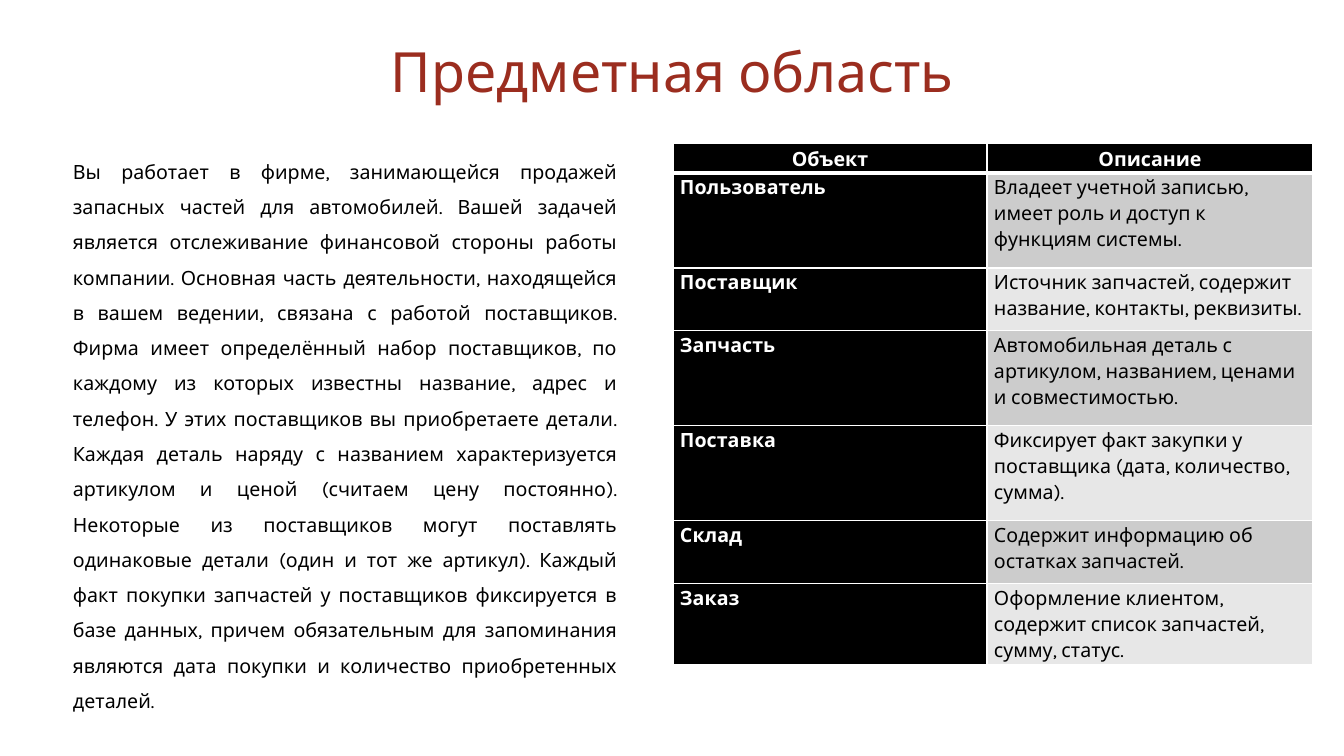
from lxml.etree import SubElement
from pptx import Presentation
from pptx.dml.color import RGBColor
from pptx.enum.text import MSO_ANCHOR as Anchor, MSO_AUTO_SIZE as AutoSize, PP_ALIGN as Align
from pptx.oxml.ns import qn
from pptx.util import Pt

TITLE = "Предметная область"
STORY = (
    "Вы работает в фирме, занимающейся продажей запасных частей для автомобилей. "
    "Вашей задачей является отслеживание финансовой стороны работы компании. "
    "Основная часть деятельности, находящейся в вашем ведении, связана с работой поставщиков. "
    "Фирма имеет определённый набор поставщиков, по каждому из которых известны название, "
    "адрес и телефон. У этих поставщиков вы приобретаете детали. "
    "Каждая деталь наряду с названием характеризуется артикулом и ценой (считаем цену постоянно). "
    "Некоторые из поставщиков могут поставлять одинаковые детали (один и тот же артикул). "
    "Каждый факт покупки запчастей у поставщиков фиксируется в базе данных, причем обязательным "
    "для запоминания являются дата покупки и количество приобретенных деталей."
)
OBJECTS = [
    ("Объект", "Описание"),
    ("Пользователь", "Владеет учетной записью, имеет роль и доступ к функциям системы."),
    ("Поставщик", "Источник запчастей, содержит название, контакты, реквизиты."),
    ("Запчасть", "Автомобильная деталь с артикулом, названием, ценами и совместимостью."),
    ("Поставка", "Фиксирует факт закупки у поставщика (дата, количество, сумма)."),
    ("Склад", "Содержит информацию об остатках запчастей."),
    ("Заказ", "Оформление клиентом, содержит список запчастей, сумму, статус."),
]
COLORS = {"title": "9B2D1F", "black": "000000", "white": "FFFFFF",
          "odd": "CCCCCC", "even": "E7E7E7"}
FONT = "Karla"
SLIDE = (1344, 756)
TITLE_BOX = (93, 40, 1159, 70)
STORY_BOX = (63, 143, 564, 505)
TABLE_AT = (673, 143)
COLUMNS = (314, 326)
ROWS = (30, 95, 63, 95, 95, 63, 63)
CELL_INSET = 7
THIN, THICK = 1, 3


def px(length):
    return round(length * 914400 / 100.8)


def write(frame, text, size, color, bold=False, **paragraph_format):
    para = frame.paragraphs[0]
    for name, value in paragraph_format.items():
        setattr(para, name, value)
    span = para.add_run()
    span.text = text
    for name, value in {"name": FONT, "size": Pt(size), "bold": bold}.items():
        setattr(span.font, name, value)
    span.font.color.rgb = RGBColor.from_string(COLORS[color])


def add_text(page, box, anchor, auto_size, *content, **paragraph_format):
    frame = page.shapes.add_textbox(*map(px, box)).text_frame
    for name, value in {"word_wrap": True, "auto_size": auto_size,
                        "vertical_anchor": anchor}.items():
        setattr(frame, name, value)
    write(frame, *content, **paragraph_format)


def add_borders(cell, widths):
    """Draw white cell borders; widths in points for left, right, top, bottom."""
    properties = cell._tc.get_or_add_tcPr()
    for place, (side, width) in enumerate(zip("LRTB", widths)):
        line = SubElement(properties, qn(f"a:ln{side}"), w=str(Pt(width)))
        fill = SubElement(line, qn("a:solidFill"))
        SubElement(fill, qn("a:srgbClr"), val=COLORS["white"])
        properties.insert(place, line)


def fill_cell(cell, text, row, column):
    header = row == 0
    dark = header or column == 0
    band = "odd" if row % 2 else "even"
    cell.fill.solid()
    cell.fill.fore_color.rgb = RGBColor.from_string(COLORS["black" if dark else band])
    for name, value in {"margin_left": px(CELL_INSET), "margin_right": px(CELL_INSET),
                        "margin_top": 0, "margin_bottom": 0,
                        "vertical_anchor": Anchor.MIDDLE if header else Anchor.TOP}.items():
        setattr(cell, name, value)
    add_borders(cell, (THIN, THIN, THICK if row == 1 else THIN, THICK if header else THIN))
    write(cell.text_frame, text, 14, "white" if dark else "black", dark,
          alignment=Align.CENTER if header else Align.LEFT,
          line_spacing=1.15, space_after=Pt(8))


def add_objects_table(page):
    box = (*TABLE_AT, sum(COLUMNS), sum(ROWS))
    table = page.shapes.add_table(len(ROWS), len(COLUMNS), *map(px, box)).table
    for column, width in zip(table.columns, COLUMNS):
        column.width = px(width)
    for row, height in zip(table.rows, ROWS):
        row.height = px(height)
    for row, texts in enumerate(OBJECTS):
        for column, text in enumerate(texts):
            fill_cell(table.cell(row, column), text, row, column)


def main():
    deck = Presentation()
    deck.slide_width, deck.slide_height = map(px, SLIDE)
    page = deck.slides.add_slide(deck.slide_layouts[6])
    add_text(page, TITLE_BOX, Anchor.MIDDLE, AutoSize.NONE, TITLE, 39.6, "title",
             alignment=Align.CENTER, line_spacing=0.9)
    add_text(page, STORY_BOX, Anchor.TOP, AutoSize.SHAPE_TO_FIT_TEXT, STORY, 14, "black",
             alignment=Align.JUSTIFY, line_spacing=1.5)
    add_objects_table(page)
    deck.save("out.pptx")


if __name__ == "__main__":
    main()
